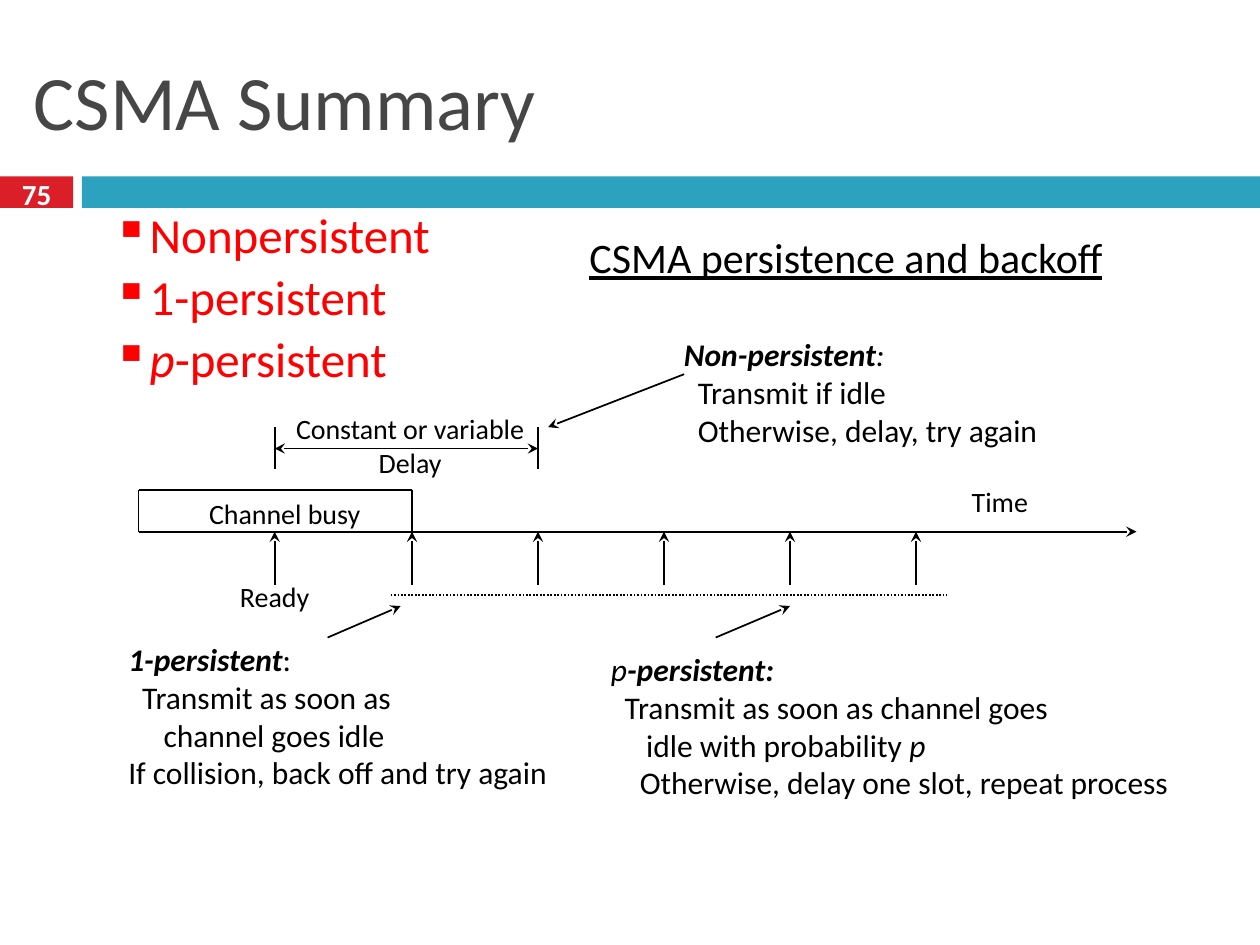
from lxml.etree import SubElement
from pptx import Presentation
from pptx.dml.color import RGBColor
from pptx.enum.dml import MSO_LINE
from pptx.enum.shapes import MSO_CONNECTOR, MSO_SHAPE
from pptx.enum.text import MSO_ANCHOR, PP_ALIGN
from pptx.oxml.ns import qn
from pptx.util import Inches, Pt

BLACK = RGBColor(0, 0, 0)
WHITE = RGBColor(255, 255, 255)
RED = RGBColor(255, 0, 0)
BADGE_RED = RGBColor(0xDA, 0x1F, 0x28)
BAND_BLUE = RGBColor(0x2D, 0xA2, 0xBF)
TITLE_GRAY = RGBColor(0x46, 0x46, 0x46)

AXIS_Y = 4.22
BUSY_TOP = 3.89
BUSY_LEFT, BUSY_RIGHT = 1.1, 3.27
READY_X, RETRY_X = 2.18, 4.27
SLOTS = [READY_X, BUSY_RIGHT] + [RETRY_X + slot for slot in range(4)]


def add_bar(page, left, width, color):
    bar = page.shapes.add_shape(
        MSO_SHAPE.RECTANGLE, Inches(left), Inches(1.4), Inches(width), Inches(0.25))
    bar.shadow.inherit = False
    bar.fill.solid()
    bar.fill.fore_color.rgb = color
    bar.line.fill.background()


def add_line(page, start, end, arrows=(), dash=None):
    line = page.shapes.add_connector(
        MSO_CONNECTOR.STRAIGHT, *[Inches(value) for value in start + end])
    line.line.color.rgb = BLACK
    line.line.width = Pt(1)
    if dash:
        line.line.dash_style = dash
    properties = line._element.spPr
    for arrow in arrows:
        SubElement(properties.find(qn("a:ln")), qn(f"a:{arrow}"), type="stealth")
    SubElement(properties, qn("a:effectLst"))


def add_text(page, area, paragraphs, size, color=BLACK, align=PP_ALIGN.LEFT,
             anchor=MSO_ANCHOR.TOP, wrap=False):
    """Each paragraph is (indent, spans); a span is (text, style letters)."""
    box = page.shapes.add_textbox(*[Inches(value) for value in area])
    frame = box.text_frame
    frame.word_wrap = wrap
    frame.vertical_anchor = anchor
    for index, (indent, spans) in enumerate(paragraphs):
        para = frame.paragraphs[0] if index == 0 else frame.add_paragraph()
        para.alignment = align
        if indent:
            para._p.get_or_add_pPr().set("marL", str(Inches(indent)))
        for text, style in spans:
            span = para.add_run()
            span.text = text
            font = span.font
            font.name = "Calibri"
            font.size = Pt(size)
            font.color.rgb = color
            font.bold = "b" in style
            font.italic = "i" in style
            font.underline = "u" in style
    return box


def add_label(page, area, *texts):
    add_text(page, area, [(0, [(text, "")]) for text in texts], 16,
             align=PP_ALIGN.CENTER)


def add_bullets(page, area, paragraphs):
    box = add_text(page, area, paragraphs, 28, RED)
    for para in box.text_frame.paragraphs:
        para.line_spacing = 0.9
        para.space_before = Pt(5)
        properties = para._p.get_or_add_pPr()
        properties.set("indent", str(-Inches(0.22)))
        SubElement(properties, qn("a:buChar"), char="▪")


def add_header(page):
    add_bar(page, 0, 0.58, BADGE_RED)
    add_bar(page, 0.65, 9.35, BAND_BLUE)
    add_text(page, (0, 1.37, 0.58, 0.33), [(0, [("75", "b")])], 16.6, WHITE,
             PP_ALIGN.CENTER, MSO_ANCHOR.MIDDLE, True)
    add_text(page, (0.17, 0.25, 9.67, 1.08), [(0, [("CSMA Summary", "")])], 44,
             TITLE_GRAY, anchor=MSO_ANCHOR.MIDDLE, wrap=True)


def add_timeline(page):
    add_line(page, (BUSY_LEFT, AXIS_Y), (9.02, AXIS_Y), ["tailEnd"])
    for x in SLOTS:
        add_line(page, (x, AXIS_Y), (x, 4.64), ["headEnd"])
    add_line(page, (3.1, 4.72), (7.52, 4.72), dash=MSO_LINE.ROUND_DOT)
    for x in (BUSY_LEFT, BUSY_RIGHT):
        add_line(page, (x, AXIS_Y), (x, BUSY_TOP))
    add_line(page, (BUSY_LEFT, BUSY_TOP), (BUSY_RIGHT, BUSY_TOP))
    for x in (READY_X, RETRY_X):
        add_line(page, (x, 3.39), (x, 3.72))
    add_line(page, (READY_X, 3.56), (RETRY_X, 3.56), ["headEnd", "tailEnd"])
    for tip, start in (((4.35, 3.39), (5.43, 2.97)),
                       ((3.18, 4.81), (2.6, 5.06)),
                       ((6.27, 4.81), (5.68, 5.06))):
        add_line(page, tip, start, ["headEnd"])
    add_label(page, (2.16, 3.22, 2.19, 0.64), "Constant or variable", "Delay")
    add_label(page, (1.48, 3.89, 1.56, 0.37), "Channel busy")
    add_label(page, (1.76, 4.55, 0.84, 0.37), "Ready")
    add_label(page, (7.59, 3.8, 0.69, 0.37), "Time")


def add_strategies(page):
    add_text(page, (5.33, 2.61, 3.3, 1), [
        (0, [("Non-persistent", "bi"), (":", "i")]),
        (0.11, [("Transmit if idle", "")]),
        (0.11, [("Otherwise, delay, try again", "")])], 18)
    add_text(page, (0.92, 5.03, 3.83, 1.3), [
        (0, [("1-persistent", "bi"), (":", "")]),
        (0.11, [("Transmit as soon as", "")]),
        (0.28, [("channel goes idle", "")]),
        (0, [("If collision, back off and try again", "")])], 18)
    add_text(page, (4.75, 5.11, 5.08, 1.3), [
        (0, [("p", "i"), ("-persistent:", "bi")]),
        (0.11, [("Transmit as soon as channel goes", "")]),
        (0.28, [("idle with probability ", ""), ("p", "i")]),
        (0.23, [("Otherwise, delay one slot, repeat process", "")])], 18)


def main():
    deck = Presentation()
    deck.slide_width, deck.slide_height = Inches(10), Inches(7.5)
    page = deck.slides.add_slide(deck.slide_layouts[6])
    add_header(page)
    add_timeline(page)
    add_strategies(page)
    add_text(page, (4.58, 1.79, 4.78, 0.5),
             [(0, [("CSMA persistence and backoff", "u")])], 24)
    add_bullets(page, (0.8, 1.63, 2.73, 1.55), [
        (0.22, [("Nonpersistent", "")]),
        (0.22, [("1-persistent", "")]),
        (0.22, [("p", "i"), ("-persistent", "")])])
    deck.save("out.pptx")


if __name__ == "__main__":
    main()
